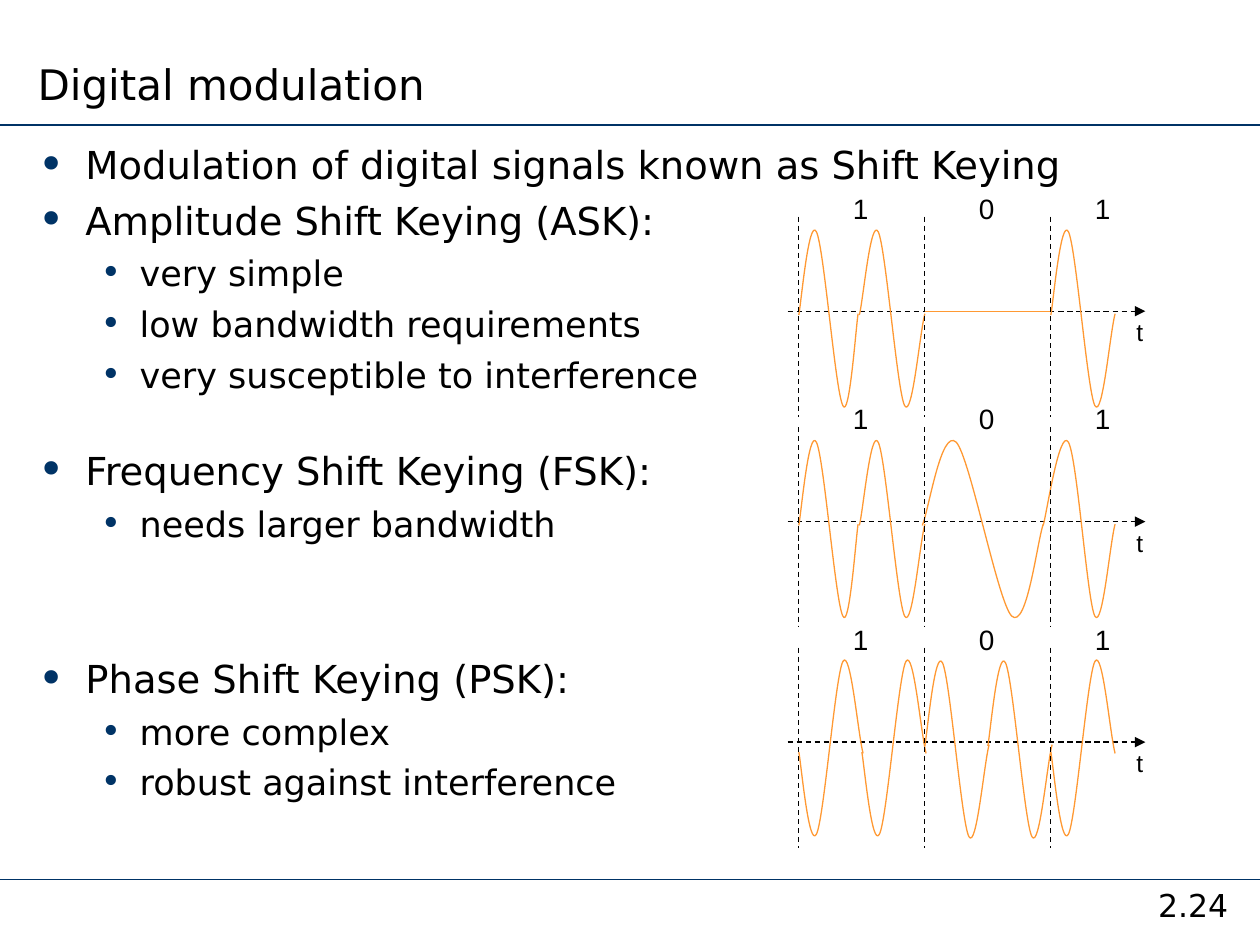
from lxml import etree
from pptx import Presentation
from pptx.dml.color import RGBColor
from pptx.enum import dml, shapes, text
from pptx.oxml import ns
from pptx.util import Inches, Pt

COLORS = {"ink": "000000", "navy": "003366", "wave": "FF9933"}
BODY_FONT, LABEL_FONT = "DejaVu Sans", "Arial"

# Content: level, text, space before in points
TITLE = "Digital modulation"
PAGE_NUMBER = "2.24"
POINTS = [
    (0, "Modulation of digital signals known as Shift Keying", 5.5),
    (0, "Amplitude Shift Keying (ASK):", 5.5),
    (1, "very simple", 5),
    (1, "low bandwidth requirements", 5),
    (1, "very susceptible to interference", 5),
    (0, "Frequency Shift Keying (FSK):", 29.3),
    (1, "needs larger bandwidth", 5.3),
    (0, "Phase Shift Keying (PSK):", 63.5),
    (1, "more complex", 5),
    (1, "robust against interference", 5),
]
# Per level: text size, left margin, hanging indent, bullet size in percent
LEVELS = [(22, 0.38, 0.38, 120), (20, 0.81, 0.31, 100)]

# Control points of one cycle: inches from its left end, inches below the axis
REGULAR = [0, 0.02, 0.08, 0.14, 0.2, 0.29, 0.35, 0.41, 0.47, 0.51]
SHORT = [0, 0.02, 0.08, 0.14, 0.2, 0.29, 0.35, 0.4, 0.45, 0.47]
SHIFTED = [0, 0.03, 0.09, 0.15, 0.21, 0.3, 0.36, 0.42, 0.48, 0.52]
SLOW = [0, 0.05, 0.15, 0.27, 0.38, 0.6, 0.71, 0.83, 0.91, 0.96]
LEADING = [0, 0.03, 0.13, 0.2, 0.27, 0.35, 0.41, 0.47, 0.53, 0.57]
HEIGHTS = [0.03, -0.08, -0.75, -0.63, -0.51, 0.64, 0.75, 0.86, 0.17, 0.02]
INVERTED = [0.08, 0.19, 0.85, 0.73, 0.61, -0.53, -0.64, -0.75, -0.06, 0.09]

# Diagrams: axis height and cycles as (left, steps, heights)
DIAGRAMS = {
    "ASK": (2.47, [(6.34, SHORT, HEIGHTS), (6.82, SHIFTED, HEIGHTS),
                   (8.34, REGULAR, HEIGHTS)]),
    "FSK": (4.14, [(6.34, SHORT, HEIGHTS), (6.82, SHIFTED, HEIGHTS),
                   (7.32, SLOW, HEIGHTS), (8.28, LEADING, HEIGHTS)]),
    "PSK": (5.89, [(6.34, REGULAR, INVERTED), (6.84, REGULAR, INVERTED),
                   (7.34, REGULAR, HEIGHTS), (7.84, REGULAR, HEIGHTS),
                   (8.34, REGULAR, INVERTED)]),
}
SILENT_BIT = (7.34, 8.34)
BITS = [(6.67, "1"), (7.67, "0"), (8.59, "1")]
DIVIDERS = [6.34, 7.34, 8.34]

deck = Presentation()
deck.slide_width, deck.slide_height = Inches(10), Inches(7.5)
page = deck.slides.add_slide(deck.slide_layouts[6])


def rgb(name):
    return RGBColor.from_string(COLORS[name])


def add_line(start, end, color="ink", width=0.75, dashed=False, arrow=False):
    line = page.shapes.add_connector(
        shapes.MSO_CONNECTOR.STRAIGHT, *map(Inches, (*start, *end)))
    line.line.color.rgb = rgb(color)
    line.line.width = Pt(width)
    if dashed:
        line.line.dash_style = dml.MSO_LINE.DASH
    if arrow:
        etree.SubElement(line.line._get_or_add_ln(), ns.qn("a:tailEnd"), type="triangle")
    etree.SubElement(line._element.spPr, ns.qn("a:effectLst"))


def style(para, size, font):
    for span in para.runs:
        span.font.size = Pt(size)
        span.font.name = font
        span.font.color.rgb = rgb("ink")


def add_text(place, words, size, font=BODY_FONT, wrap=True):
    box = page.shapes.add_textbox(*map(Inches, place))
    frame = box.text_frame
    frame.word_wrap = wrap
    frame.text = words
    for para in frame.paragraphs:
        style(para, size, font)
    return frame


def add_label(place, words, size):
    frame = add_text(place, words, size, LABEL_FONT, wrap=False)
    frame.auto_size = text.MSO_AUTO_SIZE.SHAPE_TO_FIT_TEXT


def format_point(para, level, space):
    size, margin, hanging, percent = LEVELS[level]
    style(para, size, BODY_FONT)
    para.level = level
    para.space_before = Pt(space)
    props = para._p.get_or_add_pPr()
    props.set("marL", str(Inches(margin)))
    props.set("indent", str(-Inches(hanging)))
    color = etree.SubElement(props, ns.qn("a:buClr"))
    etree.SubElement(color, ns.qn("a:srgbClr"), val=COLORS["navy"])
    etree.SubElement(props, ns.qn("a:buSzPct"), val=str(percent * 1000))
    etree.SubElement(props, ns.qn("a:buFont"), typeface=BODY_FONT)
    etree.SubElement(props, ns.qn("a:buChar"), char="•")


def add_cycle(left, axis, steps, heights):
    dots = [(Inches(left + x), Inches(axis + y)) for x, y in zip(steps, heights)]
    builder = page.shapes.build_freeform(*dots[0])
    builder.add_line_segments(dots[1:], close=False)
    wave = builder.convert_to_shape()
    # Join every three segments into one Bézier curve
    segments = list(wave._element.iter(ns.qn("a:lnTo")))
    for first in range(0, len(segments), 3):
        curve = etree.SubElement(segments[first].getparent(), ns.qn("a:cubicBezTo"))
        for segment in segments[first:first + 3]:
            curve.append(segment[0])
            segment.getparent().remove(segment)
    wave.fill.background()
    wave.line.color.rgb = rgb("wave")
    wave.line.width = Pt(0.75)
    wave.shadow.inherit = False


# Rules, title and page number
for y in (0.99, 6.98):
    add_line((0, y), (10, y), "navy", 1)
title = add_text((0.2, 0, 6.61, 0.91), TITLE, 24)
title.vertical_anchor = text.MSO_ANCHOR.BOTTOM
number = add_text((8.94, 6.98, 1.06, 0.44), PAGE_NUMBER, 18)
number.auto_size = text.MSO_AUTO_SIZE.SHAPE_TO_FIT_TEXT
number.paragraphs[0].alignment = text.PP_ALIGN.CENTER

# Bullet list
body = add_text((0.2, 1.07, 9.61, 5.85), "\n".join(words for _, words, _ in POINTS), 20)
for para, (level, _, space) in zip(body.paragraphs, POINTS):
    format_point(para, level, space)

# Signal diagrams
for name, (axis, cycles) in DIAGRAMS.items():
    add_line((6.25, axis), (9.09, axis), dashed=True, arrow=True)
    if name == "ASK":
        add_line((SILENT_BIT[0], axis), (SILENT_BIT[1], axis), "wave")
    for left, steps, heights in cycles:
        add_cycle(left, axis, steps, heights)
    for x in DIVIDERS:
        add_line((x, axis - 0.75), (x, axis + 0.84), dashed=True)
    for x, bit in BITS:
        add_label((x, axis - 1, 0.32, 0.37), bit, 16)
    add_label((8.92, axis, 0.25, 0.34), "t", 14)

deck.save("out.pptx")
